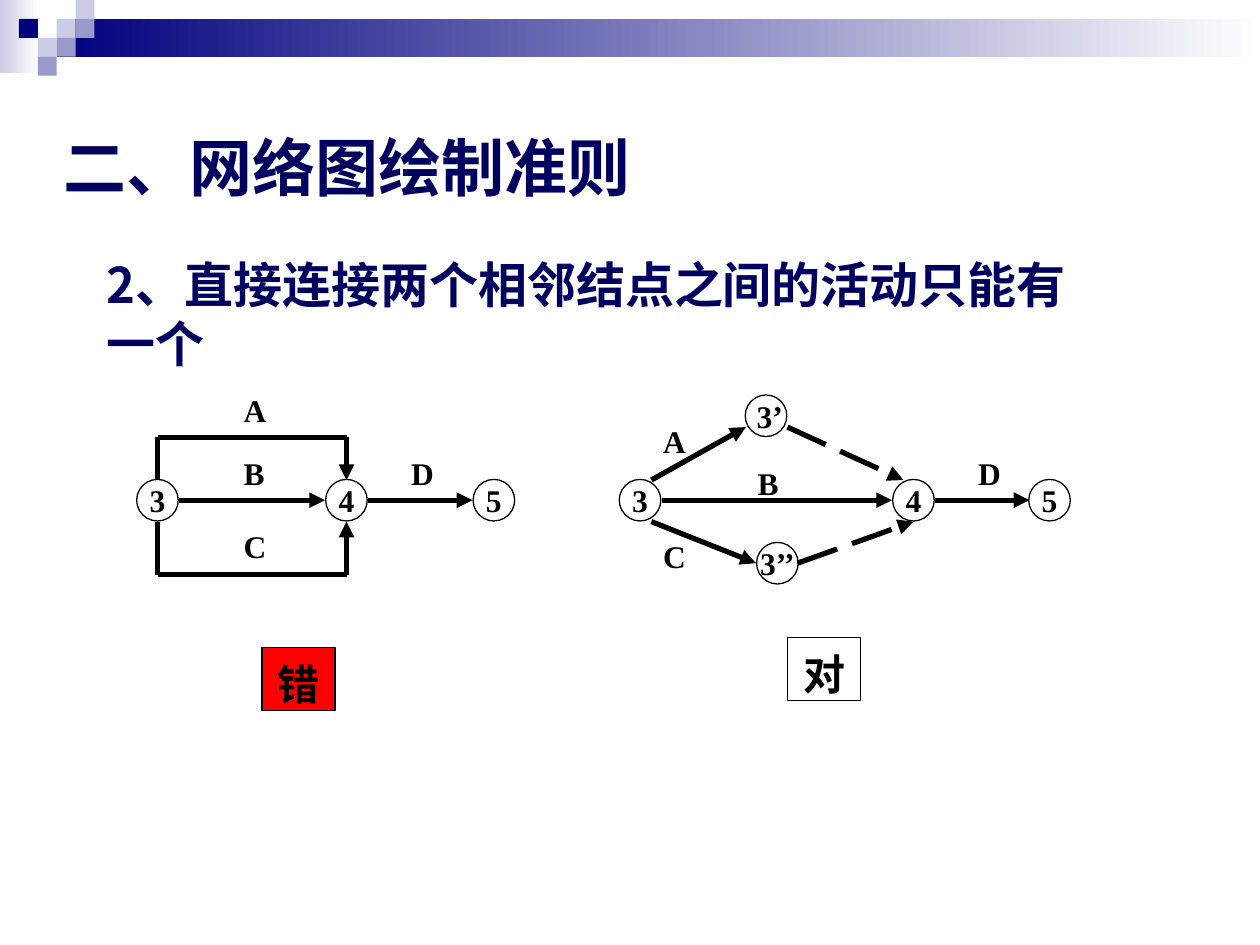
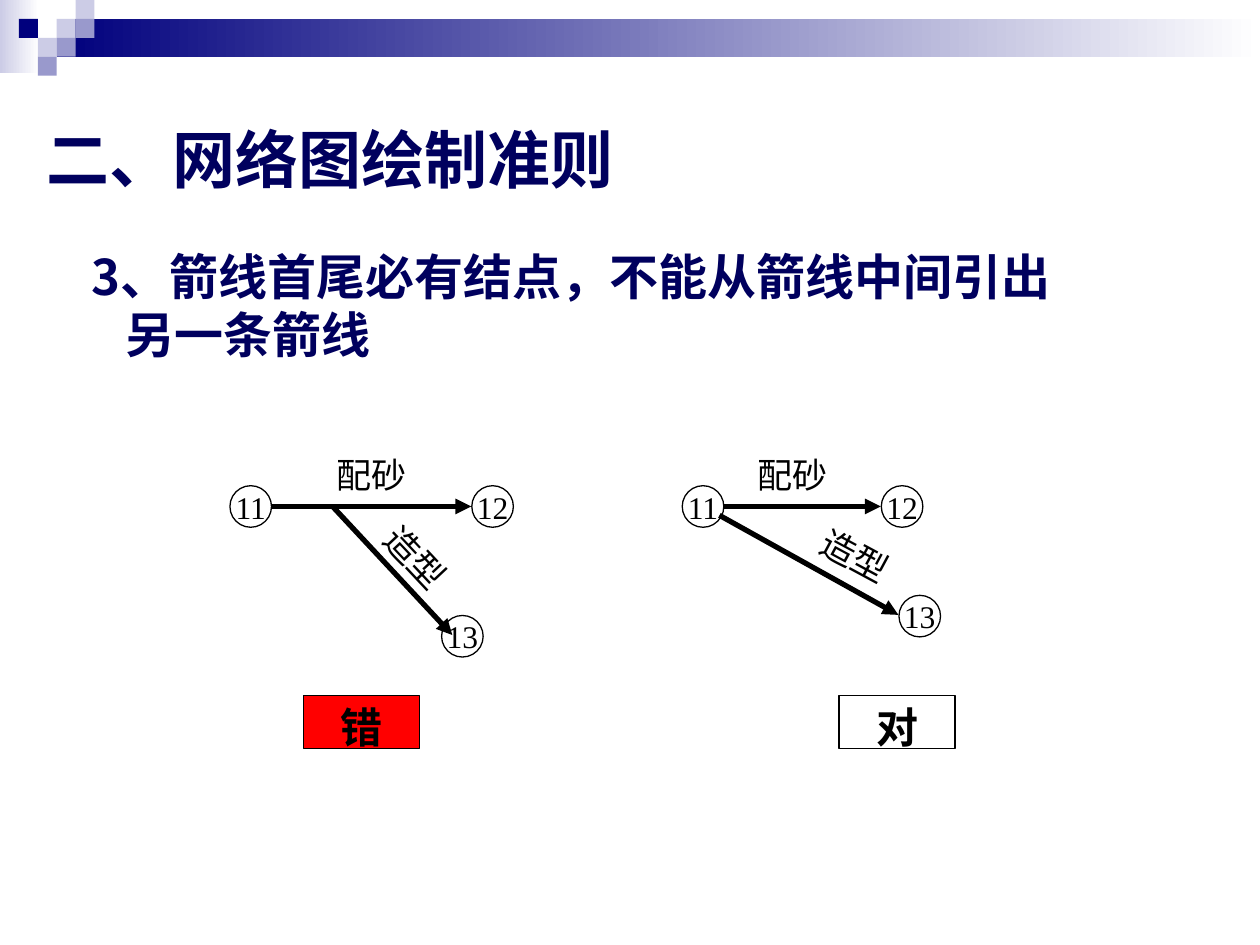
from itertools import pairwise

from lxml import etree
from pptx import Presentation
from pptx import util as u
from pptx.dml.color import RGBColor
from pptx.enum import dml, shapes, text
from pptx.oxml.ns import qn


class Theme:
    navy = RGBColor.from_string("00007D")
    heading = RGBColor.from_string("00005E")
    mid = RGBColor.from_string("9999CC")
    pale = RGBColor.from_string("CCCCE6")
    white = RGBColor.from_string("FFFFFF")
    black = RGBColor.from_string("000000")
    red = RGBColor.from_string("FF0000")
    title_font, sans, serif = "Arial", "Noto Sans CJK SC", "Times New Roman"
    title_size, rule_size, verdict_size, node_size = 36, 28, 24, 18
    outline, arrow = 0.75, 3


CELL = 0.15   # side of the small squares in the top band
NODE = 0.33   # diameter of a network node

SQUARES = [(3, 1, Theme.pale), (4, 0, Theme.pale), (4, 1, Theme.mid),
           (2, 2, Theme.pale), (1, 1, Theme.navy), (3, 2, Theme.mid),
           (2, 3, Theme.mid)]
GRADIENTS = [((0, 0, 0.31, 0.58), Theme.pale),
             ((0.45, 0.15, 9.55, 0.3), Theme.navy)]

# Nodes, labels and verdicts are placed by their centres.
# An activity is (points, dashed, arrowhead at the last point).
PAGES = [
    dict(
        title_at=(0.4, 0.78, 7.65, 1.08), title_anchor=text.MSO_ANCHOR.MIDDLE,
        rule_at=(0.75, 1.86, 8.19, 1.26),
        rule=["2、直接连接两个相邻结点之间的活动只能有一个"],
        bold=True,
        nodes=[("3", 1.25, 3.97), ("4", 2.75, 3.97), ("5", 3.92, 3.97),
               ("3", 5.08, 3.97), ("4", 7.25, 3.97), ("5", 8.33, 3.97),
               (" 3’", 6.08, 3.3), ("3’’", 6.17, 4.47)],
        activities=[
            ([(1.42, 3.97), (2.58, 3.97)], False),
            ([(2.92, 3.97), (3.75, 3.97)], False),
            ([(1.25, 3.81), (1.25, 3.47), (2.75, 3.47), (2.75, 3.81)], False),
            ([(1.25, 4.14), (1.25, 4.56), (2.75, 4.56), (2.75, 4.14)], False),
            ([(5.25, 3.97), (7.08, 3.97)], False),
            ([(5.17, 3.81), (5.92, 3.39)], False),
            ([(5.17, 4.14), (6, 4.47)], False),
            ([(6.33, 4.47), (7.25, 4.14)], True),
            ([(6.25, 3.39), (7.17, 3.81)], True),
            ([(7.42, 3.97), (8.17, 3.97)], False)],
        label_box=(0.33, 0.33), label_size=18,
        labels=[("A", 2, 3.22, 0), ("B", 2, 3.72, 0), ("C", 2, 4.3, 0),
                ("D", 3.33, 3.72, 0), ("A", 5.33, 3.47, 0),
                ("B", 6.08, 3.8, 0), ("C", 5.33, 4.38, 0),
                ("D", 7.83, 3.72, 0)],
        verdict_box=(0.58, 0.5),
        verdicts=[("错", 2.37, 5.39), ("对", 6.54, 5.31)],
    ),
    dict(
        title_at=(0.27, 0.91, 9.73, 1.05), title_anchor=text.MSO_ANCHOR.TOP,
        rule_at=(0.63, 1.87, 8.52, 1.1),
        rule=["3、箭线首尾必有结点，不能从箭线中间引出", "另一条箭线"],
        bold=False,
        nodes=[("11", 1.99, 4.02), ("12", 3.91, 4.02), ("13", 3.67, 5.05),
               ("11", 5.58, 4.02), ("12", 7.16, 4.02), ("13", 7.3, 4.89)],
        activities=[
            ([(2.16, 4.02), (3.74, 4.02)], False),
            ([(2.64, 4.02), (3.59, 5.04)], False),
            ([(5.74, 4.02), (6.99, 4.02)], False),
            ([(5.71, 4.09), (7.13, 4.88)], False)],
        label_box=(0.92, 0.42), label_size=20,
        labels=[("配砂", 2.95, 3.73, 0), ("造型", 3.32, 4.4, 46.8),
                ("配砂", 6.29, 3.73, 0), ("造型", 6.8, 4.38, 28.3)],
        verdict_box=(0.92, 0.42),
        verdicts=[("错", 2.87, 5.73), ("对", 7.12, 5.73)],
    ),
]


def write(box, lines, size, font, color=Theme.black, bold=True,
          align=text.PP_ALIGN.CENTER, before=0, spacing=1.0):
    """Fill the box with one paragraph per line, all in one style."""
    frame = box.text_frame
    frame.word_wrap = False
    frame.vertical_anchor = text.MSO_ANCHOR.MIDDLE
    frame.text = "\n".join(lines)
    for para in frame.paragraphs:
        para.alignment = align
        para.space_before = u.Pt(before)
        para.line_spacing = spacing
        para.font.size = u.Pt(size)
        para.font.bold = bold
        para.font.color.rgb = color
        para.font.name = font
        style = para._p.pPr.find(qn("a:defRPr"))
        etree.SubElement(style, qn("a:ea"), typeface=Theme.sans)


def centred(x, y, width, height):
    return [u.Inches(v) for v in (x - width / 2, y - height / 2, width, height)]


deck = Presentation()
deck.slide_width, deck.slide_height = u.Inches(10), u.Inches(7.5)

for content in PAGES:
    page = deck.slides.add_slide(deck.slide_layouts[5])

    # Top band
    for place, color in GRADIENTS:
        band = page.shapes.add_shape(shapes.MSO_SHAPE.RECTANGLE,
                                     *map(u.Inches, place))
        band.shadow.inherit = False
        band.line.fill.background()
        band.fill.gradient()
        band.fill.gradient_angle = 0
        for stop, shade in zip(band.fill.gradient_stops, (color, Theme.white)):
            stop.color.rgb = shade
    for column, row, color in SQUARES:
        square = page.shapes.add_shape(
            shapes.MSO_SHAPE.RECTANGLE, u.Inches(column * CELL),
            u.Inches(row * CELL), u.Inches(CELL), u.Inches(CELL))
        square.shadow.inherit = False
        square.line.fill.background()
        square.fill.solid()
        square.fill.fore_color.rgb = color

    # Title and rule
    title = page.shapes.title
    title.left, title.top, title.width, title.height = map(
        u.Inches, content["title_at"])
    write(title, ["二、网络图绘制准则"], Theme.title_size, Theme.title_font,
          Theme.heading, align=text.PP_ALIGN.LEFT)
    title.text_frame.word_wrap = True
    title.text_frame.vertical_anchor = content["title_anchor"]

    rule = page.shapes.add_textbox(*map(u.Inches, content["rule_at"]))
    write(rule, content["rule"], Theme.rule_size, Theme.sans, Theme.heading,
          align=text.PP_ALIGN.LEFT)
    for para in rule.text_frame.paragraphs[1:]:
        para._p.pPr.set("marL", str(u.Inches(0.27)))

    # Network diagrams
    for name, x, y in content["nodes"]:
        node = page.shapes.add_shape(shapes.MSO_SHAPE.OVAL,
                                     *centred(x, y, NODE, NODE))
        node.shadow.inherit = False
        node.fill.background()
        node.line.color.rgb = Theme.black
        node.line.width = u.Pt(Theme.outline)
        write(node, [name], Theme.node_size, Theme.serif,
              bold=content["bold"], before=Theme.node_size / 4)

    for points, dashed in content["activities"]:
        for start, end in pairwise(points):
            arrow = page.shapes.add_connector(
                shapes.MSO_CONNECTOR.STRAIGHT, *map(u.Inches, start + end))
            arrow.line.color.rgb = Theme.black
            arrow.line.width = u.Pt(Theme.arrow)
            if dashed:
                arrow.line.dash_style = dml.MSO_LINE.LONG_DASH
            if end == points[-1]:
                etree.SubElement(arrow.line._get_or_add_ln(),
                                 qn("a:tailEnd"), type="triangle")
            etree.SubElement(arrow._element.spPr, qn("a:effectLst"))

    for name, x, y, angle in content["labels"]:
        label = page.shapes.add_textbox(*centred(x, y, *content["label_box"]))
        label.rotation = angle
        write(label, [name], content["label_size"], Theme.serif,
              bold=content["bold"], before=content["label_size"] / 4,
              spacing=1.2)

    # Wrong and right
    for word, x, y in content["verdicts"]:
        verdict = page.shapes.add_shape(
            shapes.MSO_SHAPE.RECTANGLE,
            *centred(x, y, *content["verdict_box"]))
        verdict.shadow.inherit = False
        verdict.line.color.rgb = Theme.black
        verdict.line.width = u.Pt(Theme.outline)
        if word == "错":
            verdict.fill.solid()
            verdict.fill.fore_color.rgb = Theme.red
        else:
            verdict.fill.background()
        write(verdict, [word], Theme.verdict_size, Theme.serif,
              before=Theme.verdict_size / 4, spacing=1.2)

deck.save("out.pptx")
